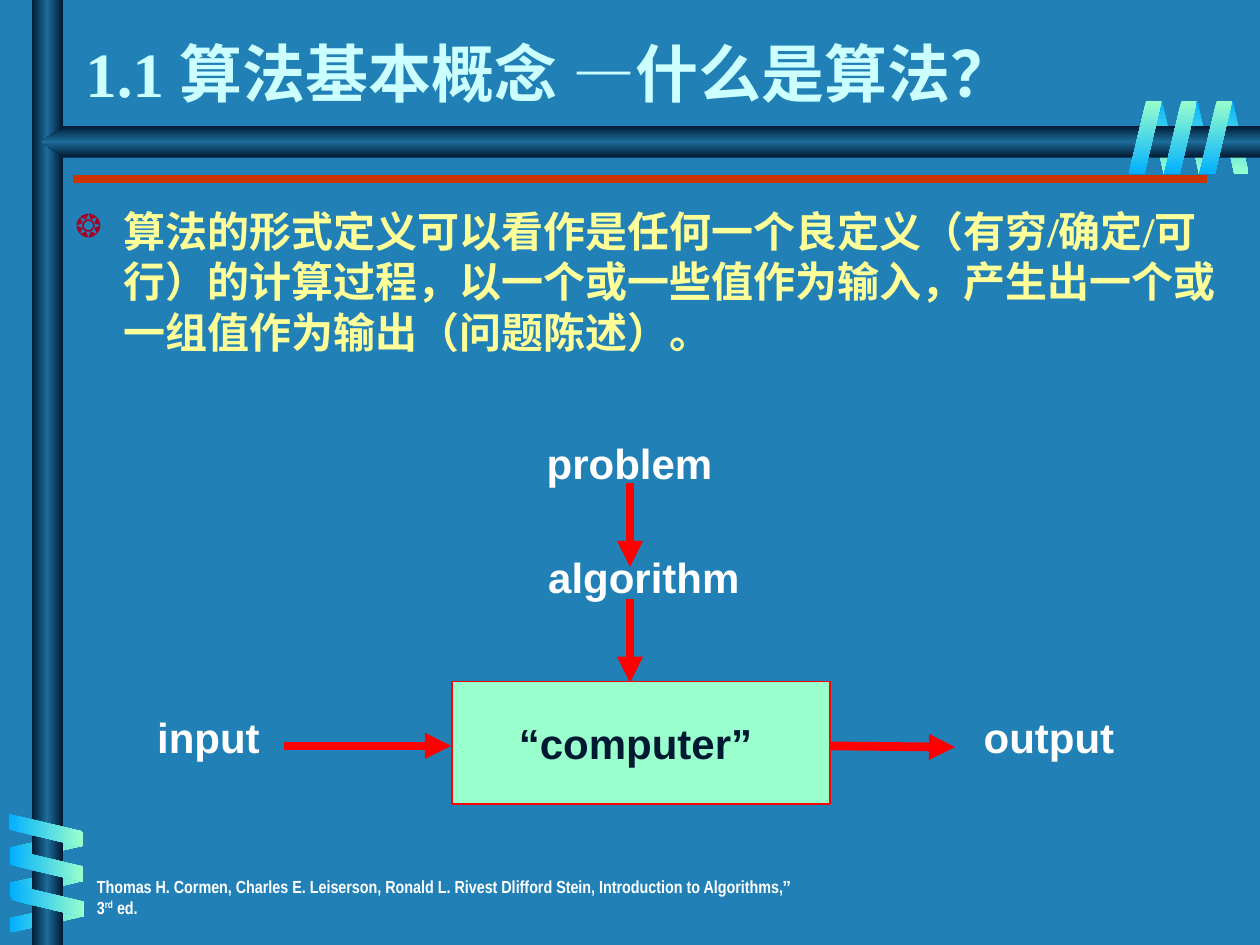
from lxml import etree
from pptx import Presentation
from pptx.dml.color import RGBColor
from pptx.enum.shapes import MSO_CONNECTOR, MSO_SHAPE
from pptx.enum.text import MSO_ANCHOR, PP_ALIGN
from pptx.oxml import parse_xml
from pptx.oxml.ns import nsdecls, qn
from pptx.util import Inches, Pt

RECT, COIL, BAR = MSO_SHAPE.RECTANGLE, MSO_SHAPE.PARALLELOGRAM, MSO_SHAPE.PENTAGON
STRAIGHT = MSO_CONNECTOR.STRAIGHT
TOP, MIDDLE, BOTTOM = MSO_ANCHOR.TOP, MSO_ANCHOR.MIDDLE, MSO_ANCHOR.BOTTOM
LEFT, CENTER = PP_ALIGN.LEFT, PP_ALIGN.CENTER

BLUE, MINT, NAVY, STEEL = "01B0FF", "99FFCC", "001932", "1C6D9A"
WHITE, RED = "FFFFFF", "FF0000"
SERIF, SANS, NARROW = "Times New Roman", "Arial", "Arial Narrow"
TUBE = (NAVY, STEEL, NAVY)
COIL_STEP = 0.28


def rgb(value):
    return RGBColor.from_string(value)


def set_gradient(shape, colours, angle):
    """Evenly spaced stops; the angle stays fixed when the shape is turned."""
    last = len(colours) - 1
    stops = "".join(
        f'<a:gs pos="{100000 * i // last}"><a:srgbClr val="{colour}"/></a:gs>'
        for i, colour in enumerate(colours))
    gradient = parse_xml(
        f'<a:gradFill {nsdecls("a")} rotWithShape="0"><a:gsLst>{stops}</a:gsLst>'
        f'<a:lin ang="{angle * 60000}" scaled="0"/></a:gradFill>')
    shape._element.spPr.find(qn("a:prstGeom")).addnext(gradient)


def add_ornament(slide, kind, box, colours, angle, rotation=0, flip=False, adjust=None):
    shape = slide.shapes.add_shape(kind, *map(Inches, box))
    shape.shadow.inherit = False
    shape.line.fill.background()
    set_gradient(shape, colours, angle)
    shape.rotation = rotation
    if adjust is not None:
        shape.adjustments[0] = adjust
    if flip:
        shape._element.spPr.xfrm.set("flipH", "1")


def add_coil(slide, start, step, size, colours, angle, rotation, flip):
    for i in range(3):
        left, top = start[0] + i * step[0], start[1] + i * step[1]
        add_ornament(slide, COIL, (left, top, *size), colours, angle, rotation, flip, 0.53)


def add_line(slide, start, end, colour, width, arrow=False):
    line = slide.shapes.add_connector(STRAIGHT, *map(Inches, (*start, *end)))
    line.line.color.rgb = rgb(colour)
    line.line.width = Pt(width)
    properties = line._element.spPr
    if arrow:
        etree.SubElement(properties.find(qn("a:ln")), qn("a:tailEnd"), type="triangle")
    etree.SubElement(properties, qn("a:effectLst"))


def write_text(shape, runs, size, colour, align=LEFT, anchor=TOP, wrap=True):
    """Fill the shape with one bold paragraph of (text, font) runs."""
    frame = shape.text_frame
    frame.word_wrap = wrap
    frame.vertical_anchor = anchor
    paragraph = frame.paragraphs[0]
    paragraph.alignment = align
    style = {"size": Pt(size), "bold": True}
    for text, font in runs:
        run = paragraph.add_run()
        run.text = text
        for name, value in {**style, "name": font}.items():
            setattr(run.font, name, value)
        run.font.color.rgb = rgb(colour)
    return paragraph


def add_text(slide, box, runs, size, colour, **layout):
    textbox = slide.shapes.add_textbox(*map(Inches, box))
    return write_text(textbox, runs, size, colour, **layout)


def set_bullet(paragraph, symbol, colour, percent, indent):
    properties = paragraph._p.get_or_add_pPr()
    properties.set("marL", str(Inches(indent)))
    properties.set("indent", str(-Inches(indent)))
    for xml in (f'<a:spcBef {nsdecls("a")}><a:spcPct val="20000"/></a:spcBef>',
                f'<a:buClr {nsdecls("a")}><a:srgbClr val="{colour}"/></a:buClr>',
                f'<a:buSzPct {nsdecls("a")} val="{percent * 1000}"/>',
                f'<a:buChar {nsdecls("a")} char="{symbol}"/>'):
        properties.append(parse_xml(xml))


def add_frame(slide):
    """Tubes along the left and top edges with a coil wound around each."""
    across, down = (COIL_STEP, 0), (0, COIL_STEP)
    add_coil(slide, (9.11, 0.8), across, (0.24, 0.58), (BLUE, MINT), 90, 180, True)
    add_coil(slide, (0.25, 6.43), down, (0.24, 0.58), (MINT, BLUE), 0, 90, True)
    add_ornament(slide, RECT, (0.25, 0, 0.25, 7.5), TUBE, 0)
    add_ornament(slide, BAR, (0.33, 1, 9.67, 0.25), TUBE, 90, flip=True, adjust=0.68)
    add_coil(slide, (0.23, 6.3), (0.01, COIL_STEP), (0.26, 0.58), (BLUE, MINT), 0, 270, False)
    add_coil(slide, (8.96, 0.8), across, (0.26, 0.58), (MINT, BLUE), 90, 0, False)
    add_line(slide, (0.58, 1.42), (9.58, 1.42), "CC3300", 4.5)


def add_citation(slide):
    authors = ("Thomas H. Cormen, Charles E. Leiserson, Ronald L. Rivest "
               "Dlifford Stein, Introduction to Algorithms,")
    runs = [(authors, NARROW), ("”", SANS), (" 3", NARROW), ("rd", NARROW), (" ed.", NARROW)]
    citation = add_text(slide, (0.67, 6.9, 5.75, 0.33), runs, 10, WHITE)
    citation.runs[3].font._element.set("baseline", "30000")


def add_diagram(slide):
    for start, end in (((5, 3.83), (5, 4.5)), ((5, 4.75), (5, 5.42)),
                       ((2.25, 5.92), (3.58, 5.92)), ((6.58, 5.92), (7.58, 5.93))):
        add_line(slide, start, end, RED, 5, arrow=True)

    computer = slide.shapes.add_shape(RECT, *map(Inches, (3.59, 5.41, 3, 0.97)))
    computer.shadow.inherit = False
    computer.fill.solid()
    computer.fill.fore_color.rgb = rgb(MINT)
    computer.line.color.rgb = rgb(RED)
    computer.line.width = Pt(1)
    write_text(computer, [("“computer” ", SANS)], 24, NAVY,
               align=CENTER, anchor=MIDDLE, wrap=False)

    for label, left, top, width in ((" problem", 4.11, 3.42, 1.68),
                                    ("algorithm", 4.25, 4.33, 1.72),
                                    ("input", 1, 5.6, 1.31),
                                    ("output", 7.67, 5.6, 1.31)):
        add_text(slide, (left, top, width, 0.58), [(label, SANS)], 24, WHITE,
                 align=CENTER, wrap=label != "algorithm")


def main():
    deck = Presentation()
    deck.slide_width, deck.slide_height = Inches(10), Inches(7.5)
    slide = deck.slides.add_slide(deck.slide_layouts[6])
    slide.background.fill.solid()
    slide.background.fill.fore_color.rgb = rgb("2181B7")

    add_frame(slide)
    add_citation(slide)
    title = [("1.1 算法基本概念 ", SERIF), ("—", SANS), ("什么是算法？", SERIF)]
    add_text(slide, (0.58, 0, 8.5, 0.92), title, 36, "CCFFFF", anchor=BOTTOM)
    definition = ("算法的形式定义可以看作是任何一个良定义（有穷/确定/可行）的计算过程，"
                  "以一个或一些值作为输入，产生出一个或一组值作为输出（问题陈述）。")
    body = add_text(slide, (0.5, 1.58, 9.25, 5.67), [(definition, SERIF)], 24, "FFFF99")
    set_bullet(body, "❂", "A50021", 75, 0.38)
    add_diagram(slide)
    deck.save("out.pptx")


if __name__ == "__main__":
    main()
